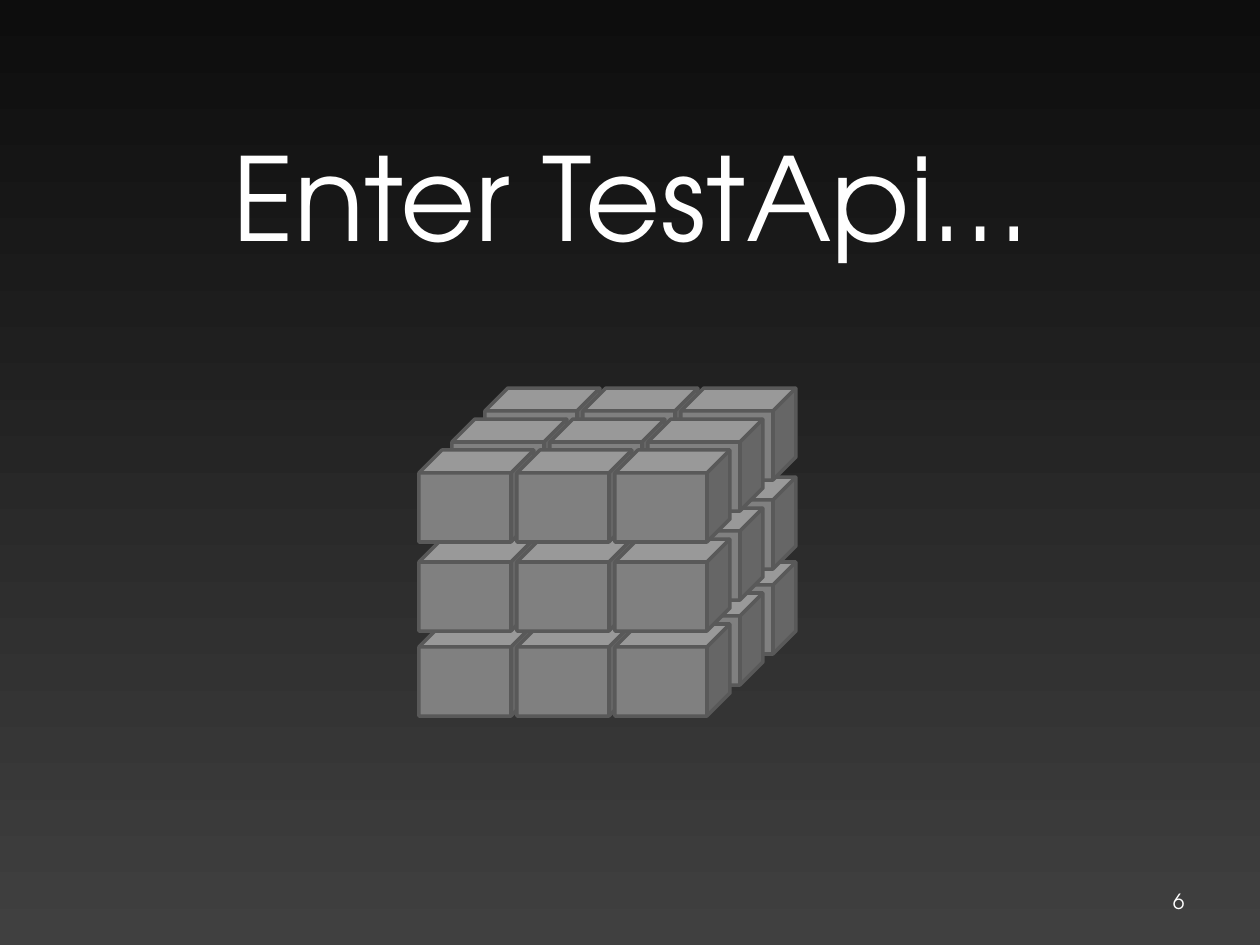
import itertools

import pptx
import pptx.dml.color
import pptx.enum.shapes
import pptx.enum.text
import pptx.util


def color(value):
    return pptx.dml.color.RGBColor.from_string(value)


def px(length):
    return pptx.util.Emu(length * 914400 // 126)


class Slide:
    """Draws styled elements on one slide, measured in pixels."""

    font = "TeX Gyre Adventor"
    text_color = "FFFFFF"
    cube_fill = "808080"
    cube_line = "595959"

    def __init__(self, deck):
        self.page = deck.slides.add_slide(deck.slide_layouts[6])

    def background(self, top, bottom):
        fill = self.page.background.fill
        fill.gradient()
        fill.gradient_angle = 270
        for stop, value in zip(fill.gradient_stops, (top, bottom)):
            stop.color.rgb = color(value)

    def text(self, words, left, top, width, height, size, align):
        box = self.page.shapes.add_textbox(px(left), px(top), px(width), px(height))
        frame = box.text_frame
        frame.word_wrap = True
        frame.vertical_anchor = pptx.enum.text.MSO_ANCHOR.MIDDLE
        frame.text = words
        para = frame.paragraphs[0]
        para.alignment = align
        span = para.runs[0]
        span.font.name = self.font
        span.font.size = pptx.util.Pt(size)
        span.font.color.rgb = color(self.text_color)

    def group(self):
        return self.page.shapes.add_group_shape()

    def cube(self, group, left, top, width, height):
        shape = group.shapes.add_shape(
            pptx.enum.shapes.MSO_SHAPE.CUBE, px(left), px(top), px(width), px(height))
        shape.shadow.inherit = False
        shape.fill.solid()
        shape.fill.fore_color.rgb = color(self.cube_fill)
        shape.line.color.rgb = color(self.cube_line)
        shape.line.width = pptx.util.Pt(2)


deck = pptx.Presentation()
deck.slide_width, deck.slide_height = px(1260), px(945)
slide = Slide(deck)
slide.background("0D0D0D", "404040")
slide.text("Enter TestApi…", 63, 116, 1134, 158, 66, pptx.enum.text.PP_ALIGN.CENTER)
slide.text("6", 903, 876, 294, 50, 12, pptx.enum.text.PP_ALIGN.RIGHT)

cubes = slide.group()
layer_tops = (562, 477, 388)
for layer_top, row, column in itertools.product(layer_tops, range(3), range(3)):
    slide.cube(cubes, 485 + 98 * column - 33 * row, layer_top + 31 * row, 115, 92)

deck.save("out.pptx")
